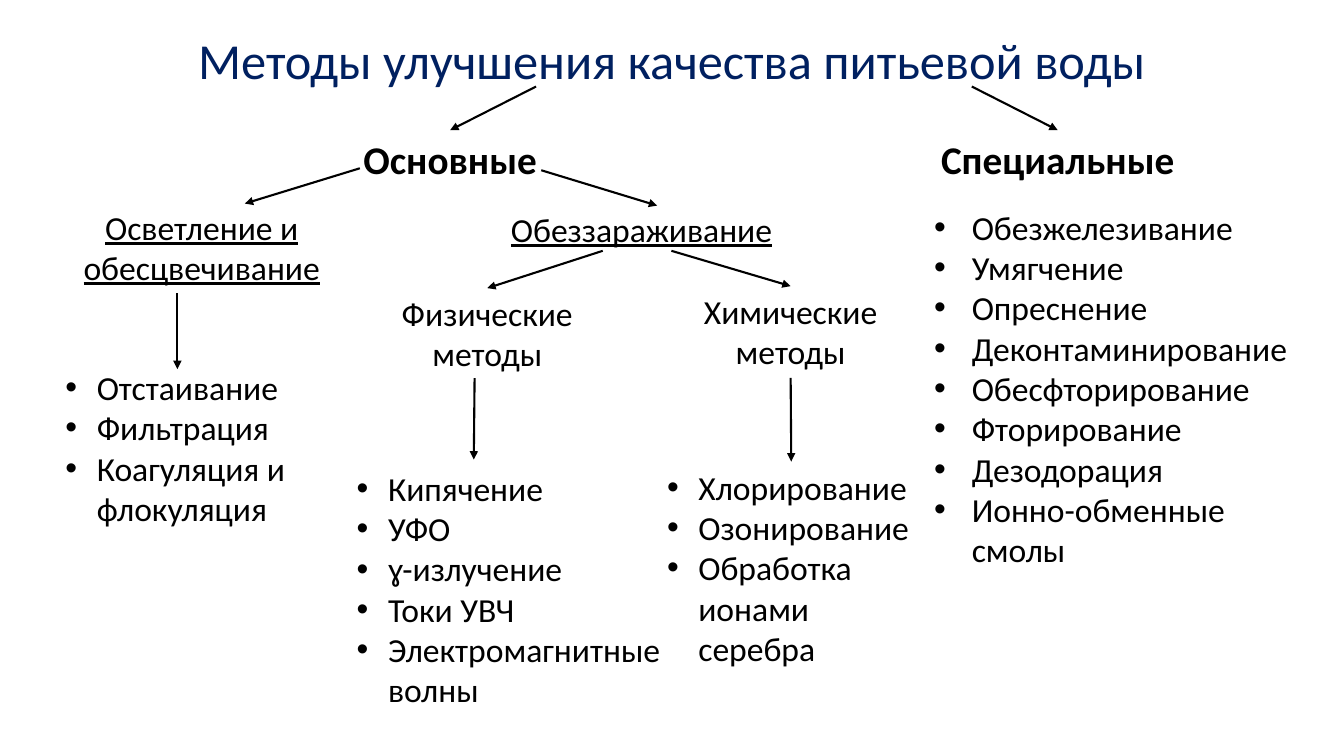
from dataclasses import dataclass
from lxml.etree import SubElement
from pptx import Presentation
from pptx.dml.color import RGBColor
from pptx.enum.shapes import MSO_CONNECTOR as Connector
from pptx.enum.text import MSO_ANCHOR as Anchor, MSO_AUTO_SIZE as AutoSize, PP_ALIGN as Align
from pptx.oxml.ns import qn
from pptx.util import Cm, Pt


@dataclass(frozen=True)
class Theme:
    font: str = "Calibri"
    bullet_font: str = "Arial"
    title_color: RGBColor = RGBColor(0x00, 0x20, 0x60)
    ink: RGBColor = RGBColor(0x00, 0x00, 0x00)
    title_size: Pt = Pt(36)
    branch_size: Pt = Pt(28)
    body_size: Pt = Pt(24)
    line_width: Pt = Pt(1.5)


theme = Theme()


def format_text(shape, size, color, align, bold=False, underline=False):
    shape.text_frame.word_wrap = True
    for paragraph in shape.text_frame.paragraphs:
        paragraph.alignment = align
        for run in paragraph.runs:
            run.font.name = theme.font
            run.font.size = size
            run.font.color.rgb = color
            run.font.bold = bold
            run.font.underline = underline


def add_text(text, left, top, width, height, size=theme.body_size, align=Align.CENTER, **style):
    box = slide.shapes.add_textbox(Cm(left), Cm(top), Cm(width), Cm(height))
    box.text_frame.text = text
    box.text_frame.auto_size = AutoSize.SHAPE_TO_FIT_TEXT
    format_text(box, size, theme.ink, align, **style)
    return box


presentation = Presentation()
presentation.slide_width = Cm(33.87)
presentation.slide_height = Cm(19.05)
slide = presentation.slides.add_slide(presentation.slide_layouts[5])

title = slide.shapes.title
title.left, title.top, title.width, title.height = Cm(3.84), Cm(0), Cm(26.19), Cm(3)
title.text_frame.text = "Методы улучшения качества питьевой воды"
title.text_frame.vertical_anchor = Anchor.MIDDLE
title.text_frame.auto_size = AutoSize.NONE
format_text(title, theme.title_size, theme.title_color, Align.CENTER)

main_branch = add_text("Основные", 8.69, 3.28, 5.31, 1.45, theme.branch_size, bold=True)
main_branch.text_frame.vertical_anchor = Anchor.MIDDLE
special_branch = add_text("Специальные", 23.29, 3.28, 6.73, 1.45, theme.branch_size, bold=True)
add_text("Осветление и обесцвечивание", 1.4, 5.08, 7.37, 2.31, underline=True)
add_text("Обеззараживание", 11.94, 5.13, 8.46, 1.27, underline=True)
physical = add_text("Физические методы", 8.76, 7.26, 7.04, 2.31)
chemical = add_text("Химические методы", 16.56, 7.21, 6.73, 2.31)

lists = [
    (1.4, 9.12, 6.15, 4.37, 0.79,
     ["Отстаивание", "Фильтрация", "Коагуляция и флокуляция"]),
    (8.74, 11.66, 8.26, 6.4, 0.79,
     ["Кипячение", "УФО", "ɣ-излучение", "Токи УВЧ", "Электромагнитные волны"]),
    (23.29, 5.08, 10.08, 9.5, 0.95,
     ["Обезжелезивание", "Умягчение", "Опреснение", "Деконтаминирование",
      "Обесфторирование", "Фторирование", "Дезодорация", "Ионно-обменные смолы"]),
    (16.56, 11.63, 6.76, 5.38, 0.79,
     ["Хлорирование", "Озонирование", "Обработка ионами серебра"]),
]
for left, top, width, height, indent, items in lists:
    list_box = add_text("\n".join(items), left, top, width, height, align=Align.LEFT)
    for paragraph in list_box.text_frame.paragraphs:
        properties = paragraph._p.get_or_add_pPr()
        properties.set("marL", str(Cm(indent)))
        properties.set("indent", str(-Cm(indent)))
        SubElement(properties, qn("a:buFont")).set("typeface", theme.bullet_font)
        SubElement(properties, qn("a:buChar")).set("char", "•")
chemical_list = list_box

arrows = [
    (13.51, 2.18, 11.35, 3.43, None, main_branch),
    (24.49, 2.18, 26.67, 3.43, None, special_branch),
    (9.07, 4.24, 6.17, 5.13, None, None),
    (13.64, 4.29, 16.56, 5.18, None, None),
    (4.47, 7.39, 4.47, 9.3, None, None),
    (11.96, 9.53, 11.94, 11.58, None, None),
    (15.19, 6.32, 12.27, 7.21, None, physical),
    (16.92, 6.32, 19.81, 7.21, None, chemical),
    (19.81, 9.53, 19.79, 11.61, chemical, chemical_list),
]
for start_x, start_y, end_x, end_y, source, target in arrows:
    arrow = slide.shapes.add_connector(
        Connector.STRAIGHT, Cm(start_x), Cm(start_y), Cm(end_x), Cm(end_y))
    if source:
        arrow.begin_connect(source, 2)
    if target:
        arrow.end_connect(target, 0)
    arrow.line.color.rgb = theme.ink
    arrow.line.width = theme.line_width
    SubElement(arrow.line._get_or_add_ln(), qn("a:tailEnd")).set("type", "triangle")
    SubElement(arrow._element.spPr, qn("a:effectLst"))

presentation.save("out.pptx")
